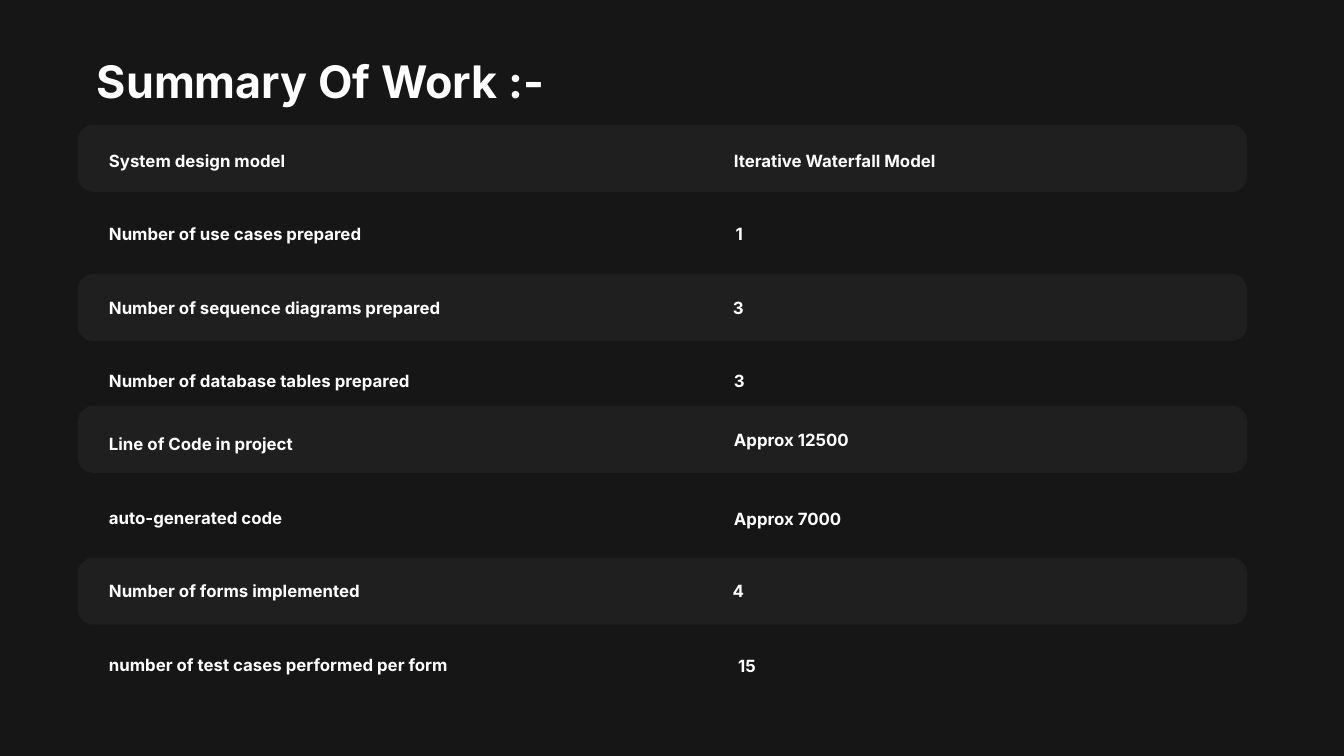
from dataclasses import dataclass

from lxml.etree import SubElement
from pptx import Presentation
from pptx.dml.color import RGBColor
from pptx.enum.shapes import MSO_SHAPE
from pptx.enum.text import MSO_ANCHOR, MSO_AUTO_SIZE, PP_ALIGN
from pptx.oxml.ns import qn
from pptx.slide import Slide
from pptx.util import Cm, Pt

COLORS = {"background": "171616", "band": "3A3838", "text": "FFFFFF"}
LEFT, CENTER = PP_ALIGN.LEFT, PP_ALIGN.CENTER

LABEL_LEFT = 1.88
ROW_STEP = 1.39
ROW_HEIGHT = 0.58
GROUP_TOPS = (2.74, 8.1)
BAND_TOPS = (2.36, 5.18, 7.67, 10.54)

ROWS = [
    ("System design model", 7.98, "Iterative Waterfall Model", 13.69, 9.07, 0, LEFT),
    ("Number of use cases prepared", 6.5, "1", 13.36, 1.22, 0, CENTER),
    ("Number of sequence diagrams prepared", 8.97, "3", 13.36, 1.19, 0, CENTER),
    ("Number of database tables prepared", 7.34, "3", 13.69, 0.53, 0, CENTER),
    ("Line of Code in project", 6.78, "Approx 12500", 13.69, 3.73, -0.08, LEFT),
    ("auto-generated code", 4.78, "Approx 7000", 13.69, 2.97, 0.03, LEFT),
    ("Number of forms implemented", 5.41, "4", 13.36, 1.19, 0, CENTER),
    ("number of test cases performed per form", 6.93, "15", 13.69, 0.86, 0.03, CENTER),
]


@dataclass
class SummarySlide:
    slide: Slide
    font: str = "Inter"
    title_size: int = 24
    body_size: int = 9

    def background(self):
        fill = self.slide.background.fill
        fill.solid()
        fill.fore_color.rgb = RGBColor.from_string(COLORS["background"])

    def set_words(self, frame, words, size, align):
        frame.text = words
        frame.word_wrap = True
        frame.auto_size = MSO_AUTO_SIZE.SHAPE_TO_FIT_TEXT
        frame.vertical_anchor = MSO_ANCHOR.TOP
        frame.margin_left = frame.margin_right = Cm(0.18)
        frame.margin_top = frame.margin_bottom = Cm(0.1)
        paragraph = frame.paragraphs[0]
        paragraph.alignment = align
        font = paragraph.runs[0].font
        font.name, font.size, font.bold = self.font, Pt(size), True
        font.color.rgb = RGBColor.from_string(COLORS["text"])

    def title(self, words, left, top, width, height):
        heading = self.slide.shapes.title
        heading.left, heading.top = Cm(left), Cm(top)
        heading.width, heading.height = Cm(width), Cm(height)
        self.set_words(heading.text_frame, words, self.title_size, LEFT)

    def band(self, top):
        band = self.slide.shapes.add_shape(
            MSO_SHAPE.ROUNDED_RECTANGLE, Cm(1.47), Cm(top), Cm(22.1), Cm(1.27))
        band.adjustments[0] = 0.235
        band.shadow.inherit = False
        band.line.fill.background()
        band.fill.solid()
        band.fill.fore_color.rgb = RGBColor.from_string(COLORS["band"])
        tint = band._element.spPr.find(qn("a:solidFill"))[0]
        SubElement(tint, qn("a:alpha")).set("val", "27000")

    def cell(self, words, left, top, width, align=LEFT):
        cell = self.slide.shapes.add_textbox(
            Cm(left), Cm(top), Cm(width), Cm(ROW_HEIGHT))
        self.set_words(cell.text_frame, words, self.body_size, align)


def main():
    deck = Presentation()
    deck.slide_width, deck.slide_height = Cm(25.4), Cm(14.29)
    summary = SummarySlide(deck.slides.add_slide(deck.slide_layouts[5]))
    summary.background()
    summary.title("Summary Of Work :-", 1.65, 0.91, 9.07, 1.22)
    for top in BAND_TOPS:
        summary.band(top)
    for index, row in enumerate(ROWS):
        label, label_width, value, value_left, value_width, shift, align = row
        group, position = divmod(index, 4)
        top = GROUP_TOPS[group] + position * ROW_STEP
        summary.cell(label, LABEL_LEFT, top, label_width)
        summary.cell(value, value_left, top + shift, value_width, align)
    deck.save("out.pptx")


if __name__ == "__main__":
    main()
